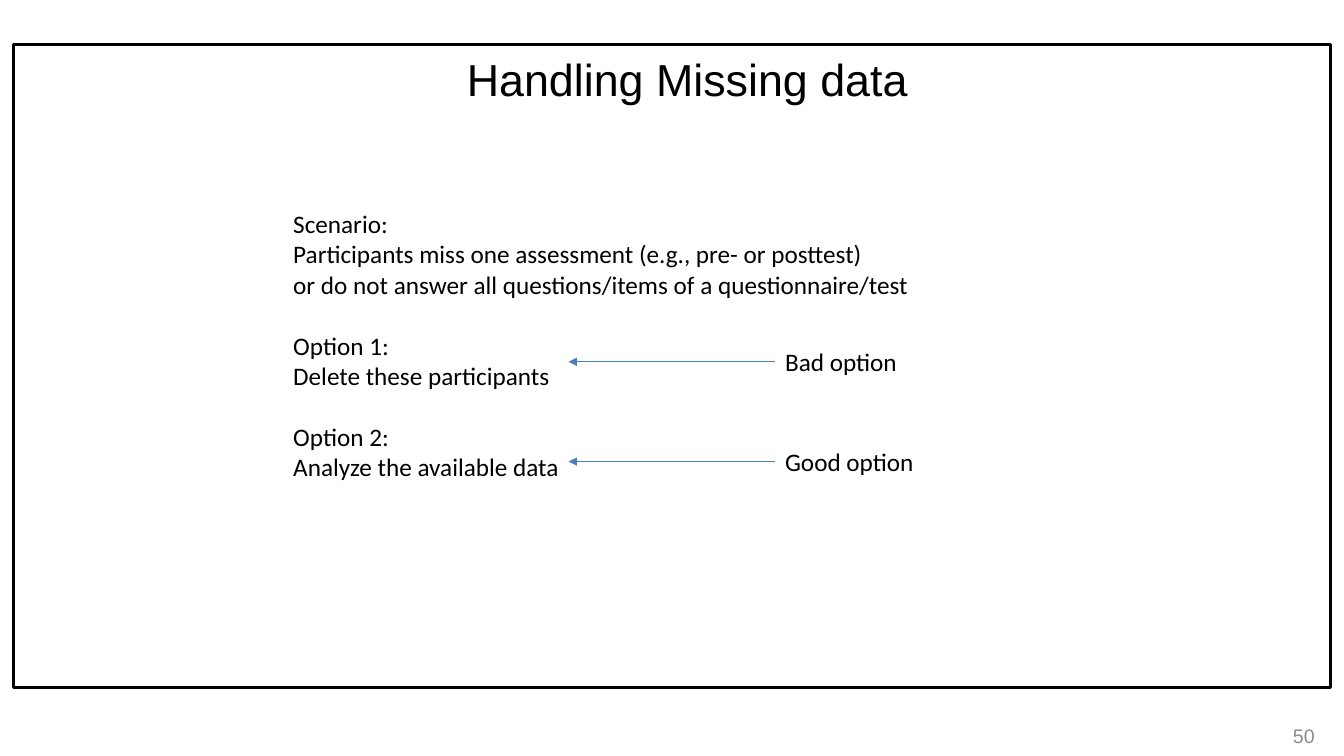
from lxml.etree import SubElement
from pptx import Presentation
from pptx.dml.color import RGBColor
from pptx.enum.shapes import MSO_CONNECTOR, MSO_SHAPE
from pptx.enum.text import MSO_ANCHOR, PP_ALIGN
from pptx.oxml.ns import qn
from pptx.util import Inches, Pt

BLACK = RGBColor(0x00, 0x00, 0x00)
GREY = RGBColor(0x8C, 0x8C, 0x8C)
BLUE = RGBColor(0x4B, 0x7E, 0xBC)

WIDTH, HEIGHT = Inches(13.33), Inches(7.5)
LINE_PITCH = Pt(22)
LABEL_LEFT, LABEL_HEIGHT = 57.68, 5.33
ARROW_END = 42.3

SECTIONS = [
    ["Scenario:",
     "Participants miss one assessment (e.g., pre- or posttest)",
     "or do not answer all questions/items of a questionnaire/test"],
    ["Option 1:", "Delete these participants"],
    ["Option 2:", "Analyze the available data"],
]
VERDICTS = [("Bad option", 45.2), ("Good option", 58.4)]


def x(percent):
    return round(WIDTH * percent / 100)


def y(percent):
    return round(HEIGHT * percent / 100)


def box(left, top, width, height):
    """Turn percentages of the slide into a position and size."""
    return x(left), y(top), x(width), y(height)


def format_paragraph(p, text, size=18, font="Calibri", color=BLACK, align=PP_ALIGN.LEFT):
    p.text = text
    p.alignment = align
    p.font.size = Pt(size)
    p.font.name = font
    p.font.color.rgb = color


def set_title(s, text):
    sp = s.shapes.title
    sp.left, sp.top, sp.width, sp.height = box(12.83, 6.13, 76.65, 8.53)
    tf = sp.text_frame
    tf.vertical_anchor = MSO_ANCHOR.TOP
    format_paragraph(tf.paragraphs[0], text, 32, "Arial", align=PP_ALIGN.CENTER)


def add_frame(s):
    sp = s.shapes.add_shape(MSO_SHAPE.RECTANGLE, *box(0.98, 5.87, 98.03, 85.07))
    sp.shadow.inherit = False
    sp.fill.background()
    sp.line.color.rgb = BLACK
    sp.line.width = Pt(2)


def add_text(s, bounds, text, **style):
    tf = s.shapes.add_textbox(*bounds).text_frame
    tf.word_wrap = True
    format_paragraph(tf.paragraphs[0], text, **style)
    return tf


def add_sections(s):
    """Write all sections in one box, one line of space between them."""
    first, *rest = [(line, i > 0 and j == 0)
                    for i, section in enumerate(SECTIONS)
                    for j, line in enumerate(section)]
    tf = add_text(s, box(21.08, 26.93, 49.05, 37.73), first[0])
    for line, opens_section in rest:
        p = tf.add_paragraph()
        format_paragraph(p, line)
        if opens_section:
            p.space_before = LINE_PITCH


def add_arrow(s, start, end, row):
    line = s.shapes.add_connector(MSO_CONNECTOR.STRAIGHT, x(start), y(row), x(end), y(row))
    line.line.color.rgb = BLUE
    line.line.width = Pt(0.75)
    SubElement(line.line._get_or_add_ln(), qn("a:tailEnd"), type="triangle")
    SubElement(line._element.spPr, qn("a:effectLst"))


def add_verdict(s, text, top):
    add_text(s, box(LABEL_LEFT, top, 13.58, LABEL_HEIGHT), text)
    add_arrow(s, LABEL_LEFT, ARROW_END, top + LABEL_HEIGHT / 2)


def add_page_number(s, number):
    tf = add_text(s, box(75.23, 94.67, 23.33, 5.33), number,
                  size=14, font="Arial", color=GREY, align=PP_ALIGN.RIGHT)
    tf.vertical_anchor = MSO_ANCHOR.MIDDLE


def main():
    prs = Presentation()
    prs.slide_width, prs.slide_height = WIDTH, HEIGHT
    s = prs.slides.add_slide(prs.slide_layouts[5])
    add_frame(s)
    set_title(s, "Handling Missing data")
    add_sections(s)
    for text, top in VERDICTS:
        add_verdict(s, text, top)
    add_page_number(s, "50")
    prs.save("out.pptx")


if __name__ == "__main__":
    main()
